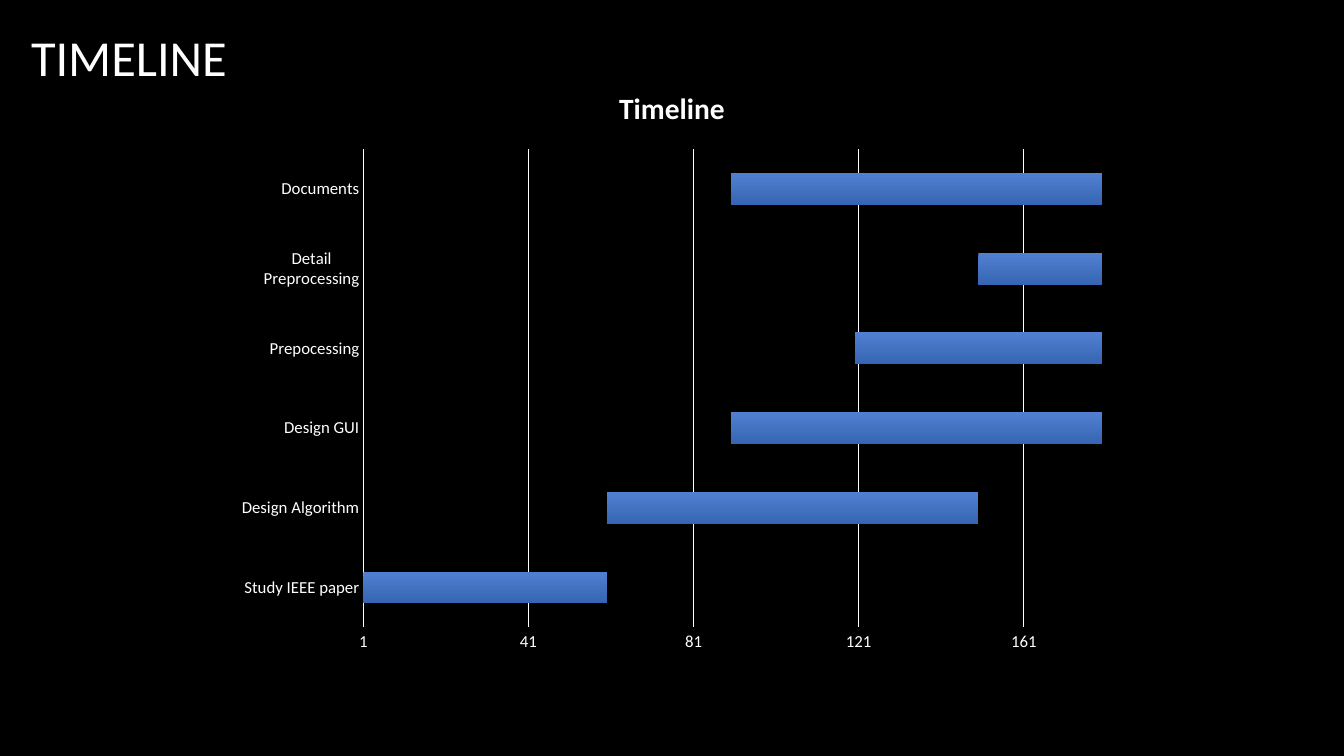
from dataclasses import dataclass

from pptx import Presentation
from pptx.chart.data import CategoryChartData
from pptx.dml.color import RGBColor
from pptx.enum.chart import XL_CHART_TYPE, XL_TICK_MARK
from pptx.enum.text import MSO_ANCHOR
from pptx.util import Inches, Pt


@dataclass(frozen=True)
class Theme:
    font: str = "Calibri"
    background: RGBColor = RGBColor.from_string("000000")
    text: RGBColor = RGBColor.from_string("FFFFFF")
    bar_top: RGBColor = RGBColor.from_string("5180D2")
    bar_bottom: RGBColor = RGBColor.from_string("3665B3")
    heading_size: int = 36
    chart_title_size: int = 21
    axis_size: int = 12
    chart_size: int = 10


theme = Theme()


def style_font(font, size, bold=False):
    font.name = theme.font
    font.size = Pt(size)
    font.bold = bold
    font.color.rgb = theme.text


# Slide
prs = Presentation()
prs.slide_width = Inches(13.33)
prs.slide_height = Inches(7.5)
slide = prs.slides.add_slide(prs.slide_layouts[6])
slide.background.fill.solid()
slide.background.fill.fore_color.rgb = theme.background

# Heading
heading = slide.shapes.add_textbox(Inches(0.21), Inches(0.14), Inches(11.03), Inches(0.83))
heading.text_frame.word_wrap = True
heading.text_frame.vertical_anchor = MSO_ANCHOR.MIDDLE
heading.text_frame.text = "TIMELINE"
style_font(heading.text_frame.paragraphs[0].runs[0].font, theme.heading_size)

# Task schedule: name, start, duration
tasks = [
    ("Study IEEE paper", None, 60),
    ("Design Algorithm", 60, 90),
    ("Design GUI", 90, 120),
    ("Prepocessing", 120, 150),
    ("Detail Preprocessing", 150, 180),
    ("Documents", 90, 280),
]
names, starts, durations = zip(*tasks)
schedule = CategoryChartData()
schedule.categories = names
schedule.add_series("Series 1", starts)
schedule.add_series("Series 2", durations)

# Gantt chart
gantt = slide.shapes.add_chart(
    XL_CHART_TYPE.BAR_STACKED,
    Inches(2.22), Inches(0.65), Inches(8.89), Inches(5.93), schedule,
).chart
style_font(gantt.font, theme.chart_size)
gantt.has_legend = False
gantt.has_title = True
gantt.chart_title.include_in_layout = False
gantt.chart_title.text_frame.text = "Timeline"
style_font(gantt.chart_title.text_frame.paragraphs[0].runs[0].font,
           theme.chart_title_size, bold=True)

# Bars: an invisible offset, then the visible duration
plot = gantt.plots[0]
plot.gap_width = 150
plot.overlap = 100
plot.vary_by_categories = False
offset, duration = plot.series
offset.format.fill.background()
offset.format.line.fill.background()
bar_fill = duration.format.fill
bar_fill.gradient()
bar_fill.gradient_angle = 270
for stop, color in zip(bar_fill.gradient_stops, (theme.bar_top, theme.bar_bottom)):
    stop.color.rgb = color
duration.format.line.fill.background()

# Axes
task_axis, day_axis = gantt.category_axis, gantt.value_axis
for axis in (task_axis, day_axis):
    axis.major_tick_mark = XL_TICK_MARK.NONE
    axis.minor_tick_mark = XL_TICK_MARK.NONE
    style_font(axis.tick_labels.font, theme.axis_size)
task_axis.format.line.color.rgb = theme.text
task_axis.format.line.width = Pt(1)
day_axis.format.line.fill.background()
day_axis.minimum_scale = 1
day_axis.maximum_scale = 180
day_axis.major_unit = 40
day_axis.has_major_gridlines = True
day_axis.major_gridlines.format.line.color.rgb = theme.text
day_axis.major_gridlines.format.line.width = Pt(0.75)

prs.save("out.pptx")
